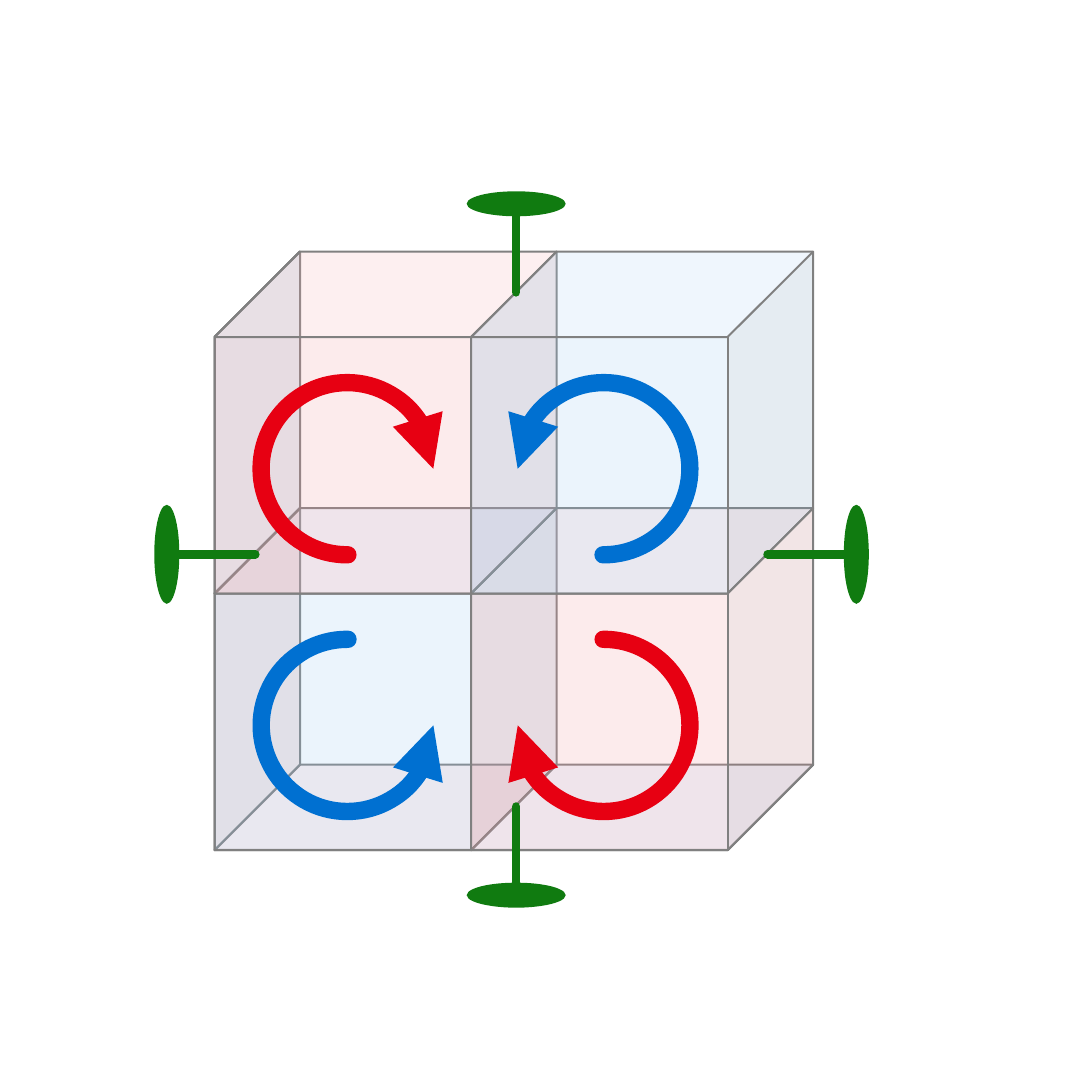
from dataclasses import dataclass

from lxml import etree
from pptx import Presentation
from pptx.dml import color
from pptx.enum import shapes
from pptx.oxml import ns
from pptx.util import Pt


@dataclass(frozen=True)
class Theme:
    pale_red: str = "F39DA3"
    pale_blue: str = "9DCCF3"
    red: str = "E70012"
    blue: str = "0070D1"
    green: str = "107B10"
    edge: str = "808080"
    glass_opacity: int = 20
    edge_width: float = 0.5
    swirl_width: float = 4.5
    post_width: float = 2.25


def add_xml(parent, tag, **attributes):
    return etree.SubElement(parent, ns.qn(tag), attributes)


class Diagram:
    def __init__(self, slide, theme):
        self.slide = slide
        self.theme = theme

    def preset(self, owner, kind, left, top, width, height):
        shape = owner.add_shape(kind, Pt(left), Pt(top), Pt(width), Pt(height))
        shape.shadow.inherit = False
        return shape

    def stroke(self, line, rgb, width):
        line.color.rgb = color.RGBColor.from_string(rgb)
        line.width = Pt(width)

    def paint(self, shape, rgb):
        shape.fill.solid()
        shape.fill.fore_color.rgb = color.RGBColor.from_string(rgb)

    def cube(self, left, top, width, height, rgb, depth):
        """Draw a see-through box; depth is a share of its shorter side."""
        box = self.preset(self.slide.shapes, shapes.MSO_SHAPE.CUBE,
                          left, top, width, height)
        box.adjustments[0] = depth
        self.paint(box, rgb)
        tint = box._element.spPr.find(ns.qn("a:solidFill"))[0]
        add_xml(tint, "a:alpha", val=str(self.theme.glass_opacity * 1000))
        self.stroke(box.line, self.theme.edge, self.theme.edge_width)

    def swirl(self, left, top, size, rgb, rotation, mirrored):
        """Draw a three-quarter circular arrow."""
        arc = self.preset(self.slide.shapes, shapes.MSO_SHAPE.ARC,
                          left, top, size, size)
        arc.adjustments[0] = 53.725
        arc.adjustments[1] = 0
        arc.rotation = rotation
        if mirrored:
            arc._element.spPr.xfrm.set("flipH", "1")
        arc.fill.background()
        self.stroke(arc.line, rgb, self.theme.swirl_width)
        outline = arc.line._get_or_add_ln()
        outline.set("cap", "rnd")
        add_xml(outline, "a:tailEnd", type="triangle")

    def post(self, x, y, dx, dy):
        """Draw a disc centred at x, y with a rod pointing along dx, dy."""
        long, short, start, end = 25.7, 6.5, 3.2, 23
        width, height = (long, short) if dy else (short, long)
        members = self.slide.shapes.add_group_shape().shapes
        disc = self.preset(members, shapes.MSO_SHAPE.OVAL,
                           x - width / 2, y - height / 2, width, height)
        self.paint(disc, self.theme.green)
        disc.line.fill.background()
        rod = members.add_connector(
            shapes.MSO_CONNECTOR.STRAIGHT,
            Pt(x + start * dx), Pt(y + start * dy),
            Pt(x + end * dx), Pt(y + end * dy))
        self.stroke(rod.line, self.theme.green, self.theme.post_width)
        rod.line._get_or_add_ln().set("cap", "rnd")
        add_xml(rod._element.spPr, "a:effectLst")


def main():
    deck = Presentation()
    deck.slide_width = deck.slide_height = Pt(283.5)
    theme = Theme()
    diagram = Diagram(deck.slides.add_slide(deck.slide_layouts[6]), theme)

    left, top, face, depth = 55.7, 65.3, 66.6, 22.2
    side = face + depth
    pale = [theme.pale_red, theme.pale_blue]
    vivid = [theme.red, theme.blue]

    for row in (1, 0):
        y = top + row * face
        for column in (0, 1):
            x = left + column * face
            parity = (row + column) % 2
            if column == 0:
                diagram.cube(x, y, depth, side, pale[1 - parity], 0.995)
            if row == 1:
                diagram.cube(x, y + face, side, depth, pale[1 - parity], 0.998)
            diagram.cube(x, y, side, side, pale[parity], 0.25)

    for row in (0, 1):
        for column in (0, 1):
            parity = (row + column) % 2
            diagram.swirl(67.8 + column * face, 99.35 + row * face, 44.7,
                          vivid[parity], 180 * row, parity == 1)

    axis_x, axis_y = 134, 143.9
    diagram.post(axis_x, 52.9, 0, 1)
    diagram.post(222.3, axis_y, -1, 0)
    diagram.post(43.3, axis_y, 1, 0)
    diagram.post(axis_x, 232.4, 0, -1)

    deck.save("out.pptx")


if __name__ == "__main__":
    main()
